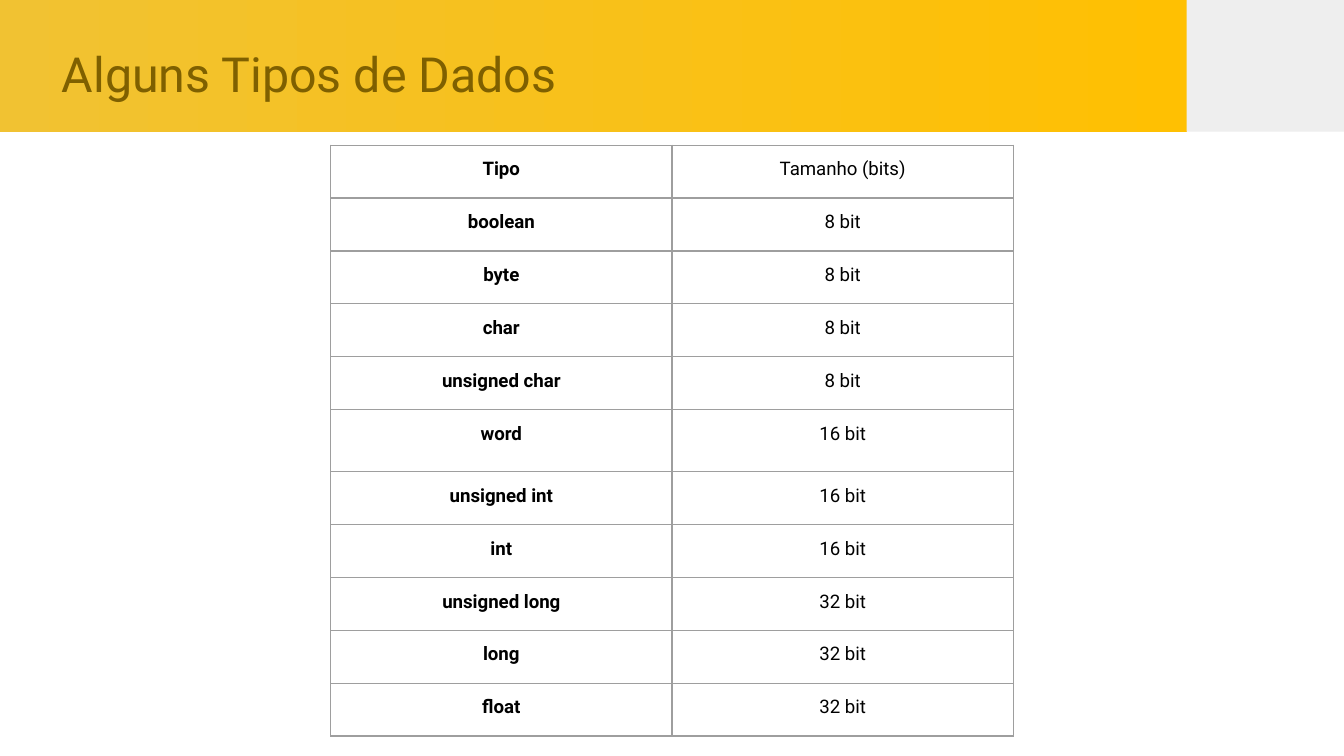
from lxml import etree
from pptx import Presentation
from pptx.dml.color import RGBColor as RGB
from pptx.enum.shapes import MSO_SHAPE as Shape
from pptx.enum.text import MSO_ANCHOR as Anchor, MSO_AUTO_SIZE as Fit, PP_ALIGN as Align
from pptx.oxml.ns import qn
from pptx.util import Inches, Pt

COLORS = {"gold": "F1C232", "amber": "FFC002", "gray": "EEEEEE",
          "title": "7F6000", "text": "000000", "line": "9E9E9E"}
FONT = "Roboto"
TYPES = [("Tipo", "Tamanho (bits)"), ("boolean", "8 bit"), ("byte", "8 bit"),
         ("char", "8 bit"), ("unsigned char", "8 bit"), ("word", "16 bit"),
         ("unsigned int", "16 bit"), ("int", "16 bit"), ("unsigned long", "32 bit"),
         ("long", "32 bit"), ("float", "32 bit")]


def color(name):
    """Return the named colour."""
    return RGB.from_string(COLORS[name])


def style(par, size, name, bold=False):
    """Format the runs of a paragraph."""
    for run in par.runs:
        font = run.font
        font.name, font.size, font.bold = FONT, Pt(size), bold
        font.color.rgb = color(name)


def add_rect(slide, left, top, width, height):
    """Add a rectangle without line or shadow."""
    rect = slide.shapes.add_shape(Shape.RECTANGLE, Inches(left), Inches(top),
                                  Inches(width), Inches(height))
    rect.shadow.inherit = False
    rect.line.fill.background()
    return rect


def add_header(slide, left, top, width, height, text):
    """Draw the header band with its side block and title."""
    main = 8.83
    fill = add_rect(slide, left, top, main, height).fill
    fill.gradient()
    fill.gradient_angle = 0
    for stop, name in zip(fill.gradient_stops, ("gold", "amber")):
        stop.color.rgb = color(name)
    side = add_rect(slide, left + main, top, width - main, height)
    side.fill.solid()
    side.fill.fore_color.rgb = color("gray")

    title = slide.shapes.title
    slide.shapes.element.append(title.element)
    title.left, title.top = Inches(left + 0.36), Inches(top + 0.23)
    title.width, title.height = Inches(8.43), Inches(0.53)
    frame = title.text_frame
    frame.text = text
    frame.auto_size, frame.word_wrap = Fit.NONE, True
    frame.vertical_anchor = Anchor.TOP
    frame.margin_left = frame.margin_right = Inches(0.1)
    frame.margin_top = frame.margin_bottom = Inches(0.1)
    par = frame.paragraphs[0]
    par.alignment = Align.LEFT
    style(par, 25.9, "title")


def add_borders(cell):
    """Draw thin lines on all four sides of a cell."""
    props = cell._tc.get_or_add_tcPr()
    for spot, side in enumerate(("a:lnL", "a:lnR", "a:lnT", "a:lnB")):
        line = etree.Element(qn(side), w=str(Pt(0.75)))
        fill = etree.SubElement(line, qn("a:solidFill"))
        etree.SubElement(fill, qn("a:srgbClr"), val=COLORS["line"])
        props.insert(spot, line)


def add_types(slide, left, top, width, height, rows):
    """Fill a two-column table of types and sizes."""
    table = slide.shapes.add_table(len(rows), 2, Inches(left), Inches(top),
                                   Inches(width), Inches(height)).table
    table.first_row = table.horz_banding = False
    tall = 0.46
    step = (height - tall) / (len(rows) - 1)
    for r, row in enumerate(rows):
        table.rows[r].height = Inches(tall if row[0] == "word" else step)
        for c, text in enumerate(row):
            cell = table.cell(r, c)
            cell.text = text
            cell.fill.background()
            cell.vertical_anchor = Anchor.TOP
            cell.margin_left = cell.margin_right = Inches(0.1)
            cell.margin_top = cell.margin_bottom = Inches(0.1)
            par = cell.text_frame.paragraphs[0]
            par.alignment = Align.CENTER
            style(par, 10, "text", bold=c == 0)
            add_borders(cell)


def main():
    """Build and save the slide."""
    deck = Presentation()
    wide = 10
    deck.slide_width, deck.slide_height = Inches(wide), Inches(wide * 9 / 16)
    slide = deck.slides.add_slide(deck.slide_layouts[5])
    add_header(slide, 0, 0, wide, 0.98, "Alguns Tipos de Dados")
    add_types(slide, 2.46, 1.08, 5.08, 4.4, TYPES)
    deck.save("out.pptx")


if __name__ == "__main__":
    main()
